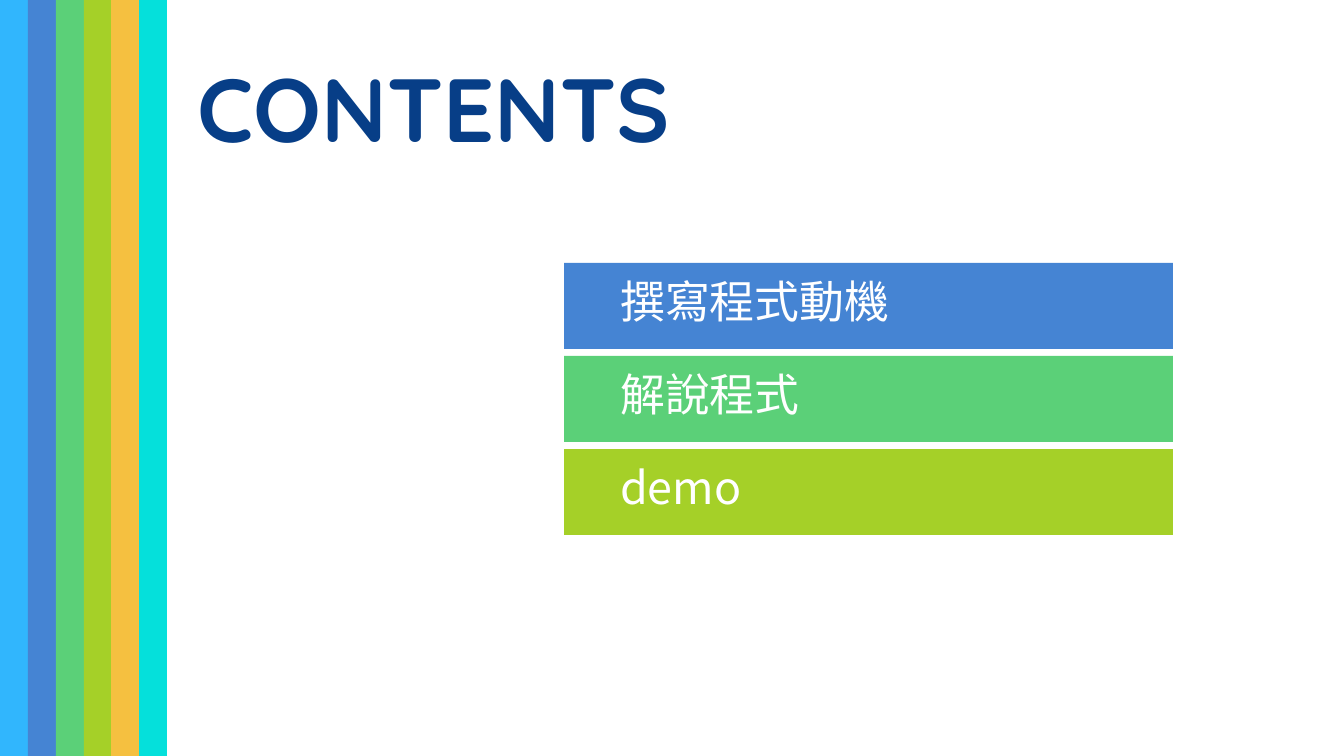
from pptx import Presentation
from pptx.dml.color import RGBColor
from pptx.enum.shapes import MSO_SHAPE
from pptx.enum.text import MSO_ANCHOR, MSO_AUTO_SIZE, PP_ALIGN
from pptx.oxml.ns import qn
from pptx.util import Emu, Pt
from lxml import etree

RECTANGLE = MSO_SHAPE.RECTANGLE
TOP = MSO_ANCHOR.TOP
LEFT = PP_ALIGN.LEFT
GROW = MSO_AUTO_SIZE.SHAPE_TO_FIT_TEXT

EMU_PER_PX = 914400 / 134.4
SLIDE_W, SLIDE_H = 1344, 756
STRIPES_W = 167

BLUE, GREEN, LIME = "4584D3", "5BD078", "A5D028"
STRIPE_COLOURS = ["31B6FD", BLUE, GREEN, LIME, "F5C040", "05E0DB"]
TOPICS = [("撰寫程式動機", BLUE), ("解說程式", GREEN), ("demo", LIME)]


def px(length):
    return Emu(round(length * EMU_PER_PX))


def colour(value):
    return RGBColor.from_string(value)


def add_bar(slide, left, top, width, height, fill):
    bar = slide.shapes.add_shape(RECTANGLE, px(left), px(top), px(width), px(height))
    bar.shadow.inherit = False
    bar.fill.solid()
    bar.fill.fore_color.rgb = colour(fill)
    bar.line.fill.background()


def write_text(holder, text, *, font, size, fill, bold=False):
    frame = holder.text_frame
    frame.word_wrap = True
    frame.auto_size = GROW
    frame.vertical_anchor = TOP
    paragraph = frame.paragraphs[0]
    paragraph.alignment = LEFT
    run = paragraph.add_run()
    run.text = text
    run.font.name = font
    run.font.size = Pt(size)
    run.font.bold = bold
    run.font.color.rgb = colour(fill)
    # Chinese characters take their typeface from a:ea
    east_asian = etree.Element(qn("a:ea"), typeface=font)
    run.font._element.find(qn("a:latin")).addnext(east_asian)


def add_stripes(slide):
    count = len(STRIPE_COLOURS)
    edges = [round(i * STRIPES_W / count) for i in range(count + 1)]
    for left, right, fill in zip(edges, edges[1:], STRIPE_COLOURS):
        add_bar(slide, left, 0, right - left, SLIDE_H, fill)


def add_title(slide, text):
    title = slide.shapes.title
    title.left, title.top = px(184), px(46)
    title.width, title.height = px(521), px(122)
    write_text(title, text, font="Quicksand", size=48, fill="073E87", bold=True)


def add_topic(slide, top, text, fill):
    add_bar(slide, 564, top, 609, 86, fill)
    label = slide.shapes.add_textbox(px(607), px(top + 4), px(566), px(67))
    write_text(label, text, font="Noto Sans CJK SC", size=24, fill="FFFFFF")


def main():
    deck = Presentation()
    deck.slide_width, deck.slide_height = px(SLIDE_W), px(SLIDE_H)
    title_only = deck.slide_layouts[5]
    slide = deck.slides.add_slide(title_only)

    # Colour stripes on the left edge
    add_stripes(slide)

    # Heading
    add_title(slide, "CONTENTS")

    # Topic bars
    for row, (text, fill) in enumerate(TOPICS):
        add_topic(slide, 263 + row * 93, text, fill)

    deck.save("out.pptx")


if __name__ == "__main__":
    main()
